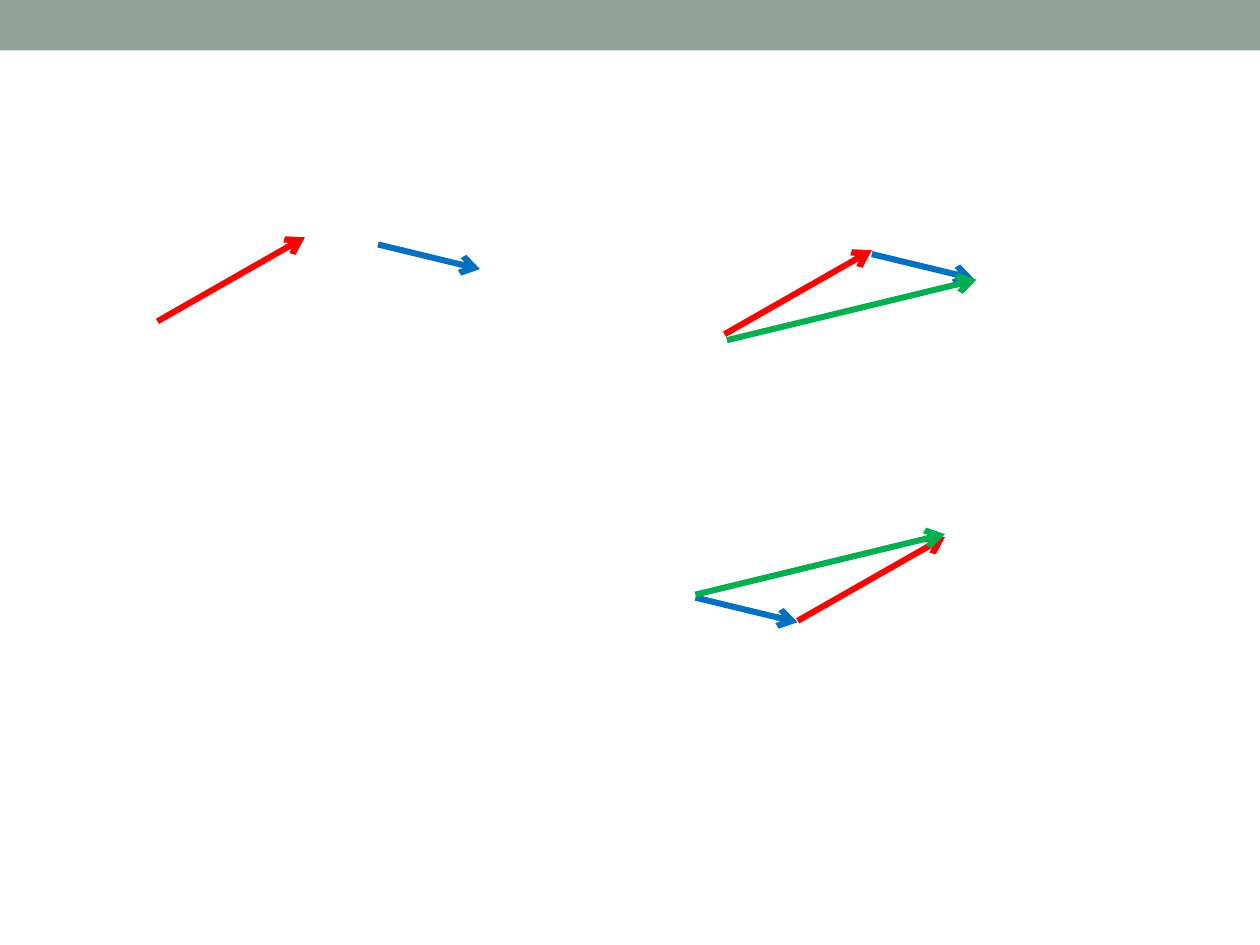
from lxml import etree
from pptx import Presentation
from pptx.dml.color import RGBColor
from pptx.enum.shapes import MSO_CONNECTOR, MSO_SHAPE
from pptx.oxml.ns import qn
from pptx.util import Pt

RECT = MSO_SHAPE.RECTANGLE
STRAIGHT = MSO_CONNECTOR.STRAIGHT
COLORS = {"band": "93A299", "a": "FF0000", "b": "0070C0", "sum": "00B050"}

prs = Presentation()
prs.slide_width, prs.slide_height = Pt(720), Pt(540)
s = prs.slides.add_slide(prs.slide_layouts[6])

# Top band
band = s.shapes.add_shape(RECT, 0, 0, prs.slide_width, Pt(28.8))
band.shadow.inherit = False
band.fill.solid()
band.fill.fore_color.rgb = RGBColor.from_string(COLORS["band"])
band.line.fill.background()

# Each vector keeps its length and direction wherever it is drawn
VECTORS = {"a": (84.2, -48), "b": (58.3, 14.1), "sum": (142.6, -34.6)}
arrows = [
    # The two vectors apart
    ("a", 90, 183.6), ("b", 216, 139.7),
    # a + b
    ("a", 414, 191), ("b", 498.2, 145.2), ("sum", 415.4, 194.4),
    # b + a
    ("b", 397.4, 341.5), ("a", 455.8, 354.8), ("sum", 397.4, 339.8),
]
for name, x, y in arrows:
    dx, dy = VECTORS[name]
    c = s.shapes.add_connector(STRAIGHT, Pt(x), Pt(y), Pt(x + dx), Pt(y + dy))
    c.line.color.rgb = RGBColor.from_string(COLORS[name])
    c.line.width = Pt(3.5)
    etree.SubElement(c.line._get_or_add_ln(), qn("a:tailEnd"), type="arrow")
    etree.SubElement(c._element.spPr, qn("a:effectLst"))

prs.save("out.pptx")
